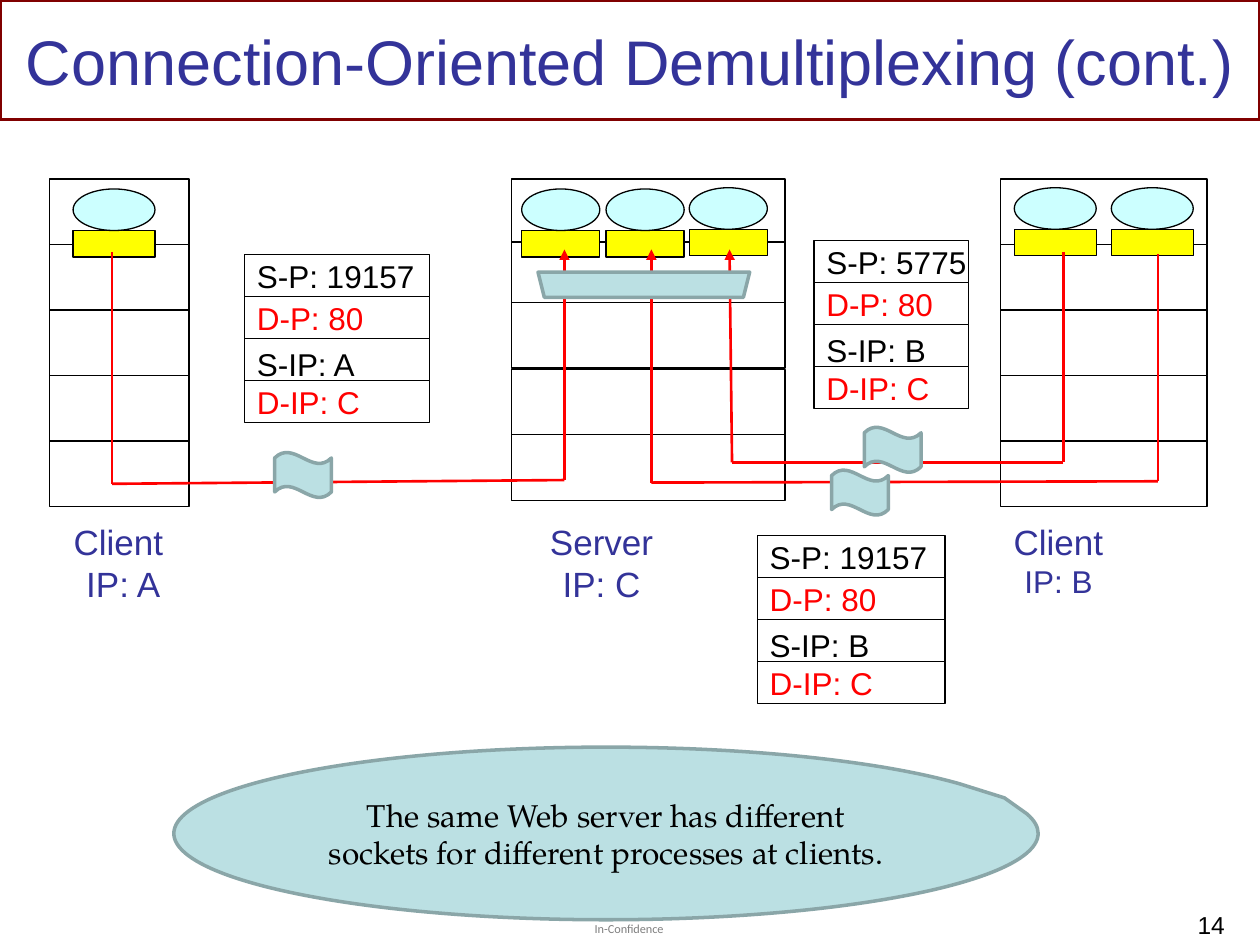
from lxml.etree import SubElement
from pptx import Presentation
from pptx.dml.color import RGBColor
from pptx.enum.shapes import MSO_CONNECTOR, MSO_SHAPE as Shape
from pptx.enum.text import MSO_ANCHOR as Anchor, PP_ALIGN as Align
from pptx.oxml.ns import qn
from pptx.util import Inches, Pt

BLACK, WHITE, RED, NAVY = "000000", "FFFFFF", "FF0000", "333399"
MAROON, YELLOW, SKY = "800000", "FFFF00", "CCFFFF"
TEAL, TEAL_EDGE, GREY = "BBE0E3", "8AA6A8", "7F7F7F"


def color(hex_code):
    return RGBColor.from_string(hex_code)


def write(frame, text, size=18, ink=BLACK, font="Arial", align=Align.LEFT,
          anchor=Anchor.TOP, wrap=True, inset=None, last_size=None):
    """Fill a text frame, one paragraph per line of text."""
    frame.word_wrap = wrap
    frame.vertical_anchor = anchor
    if inset is not None:
        frame.margin_left = frame.margin_right = Inches(inset)
        frame.margin_top = frame.margin_bottom = Inches(inset)
    lines = text.split("\n")
    for index, line in enumerate(lines):
        paragraph = frame.paragraphs[0] if index == 0 else frame.add_paragraph()
        paragraph.alignment = align
        run = paragraph.add_run()
        run.text = line
        is_last = index == len(lines) - 1
        run.font.size = Pt(last_size if last_size and is_last else size)
        run.font.name = font
        run.font.color.rgb = color(ink)


class Diagram:
    ROW = 0.52            # height of a protocol layer
    FIELD = 1 / 3         # height of a segment header field

    def __init__(self, slide):
        self.shapes = slide.shapes

    def shape(self, kind, left, top, width, height, fill=WHITE, edge=BLACK, weight=0.75):
        item = self.shapes.add_shape(
            kind, Inches(left), Inches(top), Inches(width), Inches(height))
        item.shadow.inherit = False
        item.fill.solid()
        item.fill.fore_color.rgb = color(fill)
        item.line.color.rgb = color(edge)
        item.line.width = Pt(weight)
        return item

    def accent(self, kind, left, top, width, height):
        return self.shape(kind, left, top, width, height, TEAL, TEAL_EDGE, 2)

    def label(self, left, top, width, height, text, **style):
        box = self.shapes.add_textbox(
            Inches(left), Inches(top), Inches(width), Inches(height))
        write(box.text_frame, text, **style)

    def host_label(self, left, width, text, **style):
        self.label(left, 4.08, width, 0.77, text, ink=NAVY, size=20,
                   align=Align.CENTER, wrap=False, **style)

    def stack(self, left, width, tops):
        for top in tops:
            self.shape(Shape.RECTANGLE, left, top, width, self.ROW)

    def process(self, left, top, width):
        """A process with its socket below."""
        self.shape(Shape.RECTANGLE, left, top + 0.33, width, 0.21, YELLOW)
        self.shape(Shape.OVAL, left, top, width, 0.33, SKY)

    def segment(self, left, top, width, source_port, source_ip):
        """The four header fields of a TCP segment."""
        fields = [(f"S-P: {source_port}", BLACK, Anchor.MIDDLE),
                  ("D-P: 80", RED, Anchor.MIDDLE),
                  (f"S-IP: {source_ip}", BLACK, Anchor.TOP),
                  ("D-IP: C", RED, Anchor.MIDDLE)]
        for index, (text, ink, anchor) in enumerate(fields):
            field = self.shape(Shape.RECTANGLE, left, top + index * self.FIELD,
                               width, self.FIELD)
            write(field.text_frame, text, ink=ink, anchor=anchor, wrap=False)

    def route(self, *points):
        """A red path through the points, with an arrowhead at its end."""
        for index, (start, end) in enumerate(zip(points, points[1:])):
            leg = self.shapes.add_connector(
                MSO_CONNECTOR.STRAIGHT, *[Inches(value) for value in start + end])
            leg.line.color.rgb = color(RED)
            leg.line.width = Pt(1.5)
            if index == len(points) - 2:
                SubElement(leg.line._get_or_add_ln(), qn("a:tailEnd"), type="triangle")
            SubElement(leg._element.spPr, qn("a:effectLst"))


def main():
    deck = Presentation()
    deck.slide_width, deck.slide_height = Inches(10), Inches(7.5)
    diagram = Diagram(deck.slides.add_slide(deck.slide_layouts[6]))

    # Title and footer
    diagram.shape(Shape.RECTANGLE, 0, 0, 10, 0.95, WHITE, MAROON, 2)
    diagram.label(4.72, 7.31, 0.57, 0.12, "In-Confidence", size=7, font="Calibri",
                  ink=GREY, inset=0, wrap=False)
    diagram.label(0, 0.08, 10, 0.79, "Connection-Oriented Demultiplexing (cont.)",
                  size=36, ink=NAVY, align=Align.CENTER, anchor=Anchor.MIDDLE)
    diagram.label(7.62, 7.17, 2.2, 0.3, "14", size=14, align=Align.RIGHT)

    # Conclusion
    conclusion = diagram.accent(Shape.OVAL_CALLOUT, 1.38, 5.93, 6.86, 1.37)
    conclusion.adjustments[0], conclusion.adjustments[1] = 0.461, -0.206
    write(conclusion.text_frame,
          "The same Web server has different sockets for different processes at clients.",
          font="TeX Gyre Pagella", align=Align.CENTER, anchor=Anchor.MIDDLE)

    # Hosts
    client_rows = [1.42 + row * Diagram.ROW for row in range(5)]
    diagram.stack(0.39, 1.11, client_rows)
    diagram.stack(7.94, 1.64, client_rows)
    diagram.stack(4.06, 2.17, [1.42, 1.92, 2.4, 2.93, 3.45])
    diagram.host_label(0.48, 0.92, "Client\n IP: A")
    diagram.host_label(4.26, 1.03, "Server\nIP: C")
    diagram.host_label(7.94, 0.92, "Client\nIP: B", last_size=18)

    # Processes and sockets
    for left, top, width in [(0.58, 1.5, 0.65), (8.05, 1.49, 0.65), (8.82, 1.49, 0.65),
                             (4.14, 1.5, 0.62), (4.81, 1.5, 0.62), (5.47, 1.49, 0.62)]:
        diagram.process(left, top, width)

    # Connections from client sockets to server sockets
    diagram.route((0.89, 2), (0.89, 3.84), (4.48, 3.81), (4.48, 1.98))
    diagram.route((8.44, 2), (8.44, 3.67), (5.81, 3.67), (5.79, 1.98))
    diagram.route((9.19, 2.02), (9.19, 3.82), (5.17, 3.83), (5.17, 1.98))

    # Segment headers
    diagram.segment(1.94, 2.02, 1.47, 19157, "A")
    diagram.segment(6.01, 4.25, 1.49, 19157, "B")
    diagram.segment(6.46, 1.91, 1.23, 5775, "B")

    # Segments in transit and the demultiplexer
    for left, top in [(2.18, 3.59), (6.6, 3.73), (6.86, 3.39)]:
        diagram.accent(Shape.WAVE, left, top, 0.45, 0.36)
    demultiplexer = diagram.accent(Shape.TRAPEZOID, 4.27, 2.16, 1.68, 0.2)
    demultiplexer.rotation = 180

    deck.save("out.pptx")


if __name__ == "__main__":
    main()
